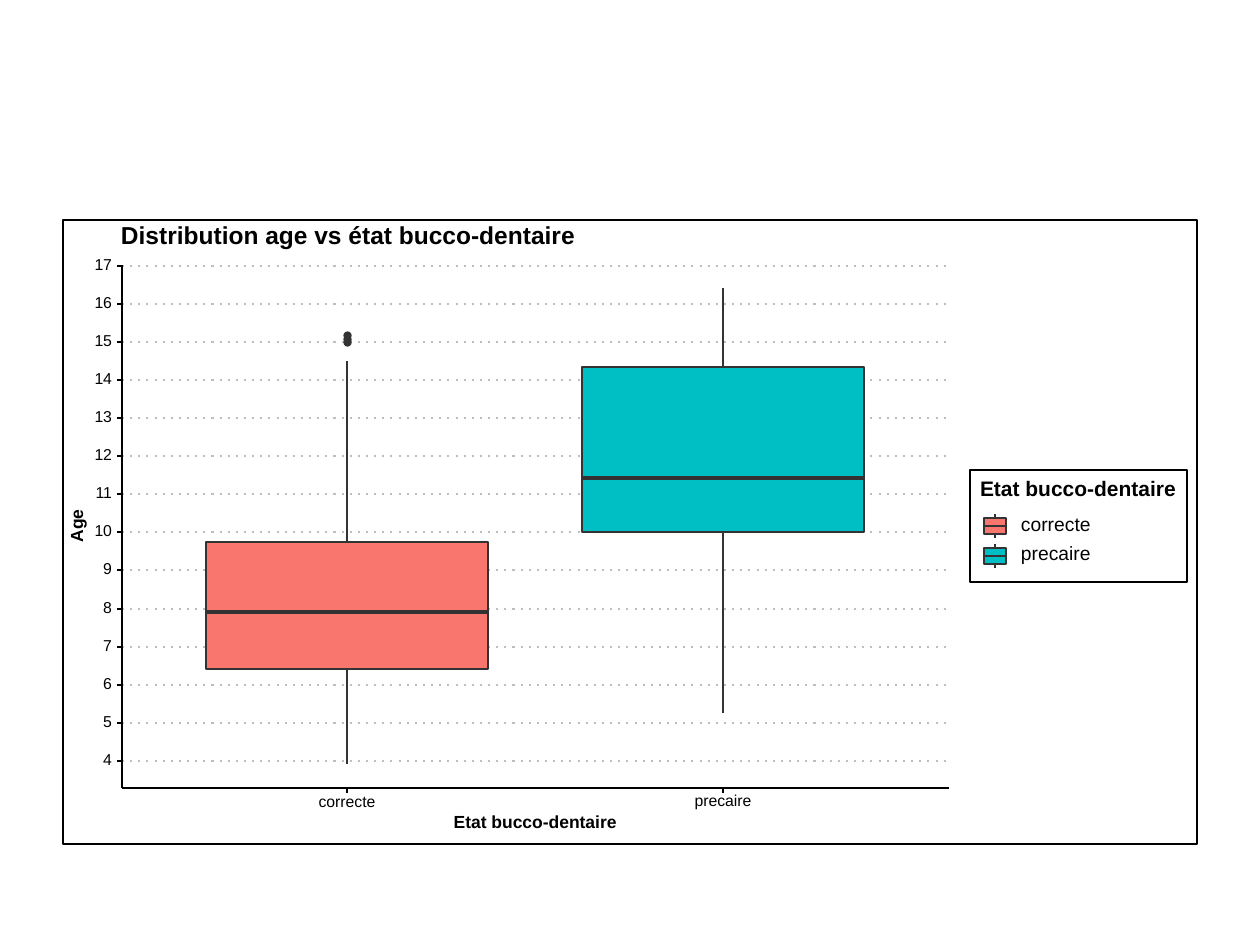
from lxml.etree import SubElement
from pptx import Presentation
from pptx.dml.color import RGBColor
from pptx.enum.dml import MSO_LINE
from pptx.enum.shapes import MSO_CONNECTOR, MSO_SHAPE
from pptx.enum.text import MSO_ANCHOR, PP_ALIGN
from pptx.oxml.ns import qn
from pptx.util import Emu, Inches, Pt

PX = Inches(1) / 126
COLORS = {
    "black": "000000",
    "white": "FFFFFF",
    "grid": "BEBEBE",
    "dark": "333333",
    "correcte": "F8766D",
    "precaire": "00BFC4",
}
TOP, LEFT, BOTTOM, RIGHT = range(4)
THIN, AXIS, MEDIAN, DOT = 1.07, 1.16, 2.13, 0.71

AXIS_LEFT, AXIS_RIGHT, AXIS_TOP, AXIS_BOTTOM = 122, 949, 265, 788
AGES = range(4, 18)
AGE_4_Y, AGE_STEP = 761, 38.1
TICK = 5
BOX_WIDTH, OUTLIER_SIZE = 282, 7

GROUPS = [
    {"name": "correcte", "center": 347, "low": 3.92, "q1": 6.42, "median": 7.92,
     "q3": 9.75, "high": 14.5, "outliers": [15.17, 15.08, 15],
     "label": (312, 797, 70, 11), "legend_label": (1021, 519, 90, 14)},
    {"name": "precaire", "center": 723, "low": 5.25, "q1": 10, "median": 11.42,
     "q3": 14.33, "high": 16.42, "outliers": [],
     "label": (688, 795, 70, 14), "legend_label": (1021, 546, 90, 18)},
]


def px(length):
    return Emu(round(length * PX))


def color(name):
    return RGBColor.from_string(COLORS[name])


def age_y(age):
    return round(AGE_4_Y - (age - AGES[0]) * AGE_STEP)


class Painter:
    font_name = "Arial"

    def __init__(self, slide):
        self.slide = slide

    def shape(self, left, top, width, height, fill, line=None, weight=THIN,
              kind=MSO_SHAPE.RECTANGLE):
        shape = self.slide.shapes.add_shape(
            kind, px(left), px(top), px(width), px(height))
        shape.shadow.inherit = False
        shape.fill.solid()
        shape.fill.fore_color.rgb = color(fill)
        if line:
            shape.line.color.rgb = color(line)
            shape.line.width = Pt(weight)
        else:
            shape.line.fill.background()
        return shape

    def line(self, x1, y1, x2, y2, line="black", weight=AXIS, dotted=False,
             begin=None, end=None):
        connector = self.slide.shapes.add_connector(
            MSO_CONNECTOR.STRAIGHT, px(x1), px(y1), px(x2), px(y2))
        connector.line.color.rgb = color(line)
        connector.line.width = Pt(weight)
        properties = connector._element.spPr
        if dotted:
            connector.line.dash_style = MSO_LINE.ROUND_DOT
            properties.find(".//" + qn("a:prstDash")).set("val", "dot")
        SubElement(properties, qn("a:effectLst"))
        if begin:
            connector.begin_connect(*begin)
        if end:
            connector.end_connect(*end)
        return connector

    def text(self, text, left, top, width, height, size, bold=False,
             align=PP_ALIGN.LEFT, rotation=0):
        box = self.slide.shapes.add_textbox(
            px(left), px(top), px(width), px(height))
        box.rotation = rotation
        frame = box.text_frame
        frame_format = {
            "margin_left": 0, "margin_top": 0, "margin_right": 0,
            "margin_bottom": 0, "word_wrap": True,
            "vertical_anchor": MSO_ANCHOR.MIDDLE,
        }
        for name, value in frame_format.items():
            setattr(frame, name, value)
        paragraph = frame.paragraphs[0]
        paragraph.alignment = align
        paragraph.line_spacing = Pt(size)
        run = paragraph.add_run()
        run.text = text
        font_format = {"name": self.font_name, "size": Pt(size), "bold": bold}
        for name, value in font_format.items():
            setattr(run.font, name, value)
        run.font.color.rgb = color("black")

    def whiskers(self, box, center, high, top, bottom, low):
        self.line(center, top, center, high, "dark", THIN, begin=(box, TOP))
        self.line(center, bottom, center, low, "dark", THIN, begin=(box, BOTTOM))

    def box_plot(self, group):
        center = group["center"]
        left = center - BOX_WIDTH // 2
        high, top, median, bottom, low = (
            age_y(group[key]) for key in ("high", "q3", "median", "q1", "low"))
        for age in group["outliers"]:
            self.shape(center - OUTLIER_SIZE // 2, age_y(age) - OUTLIER_SIZE // 2,
                       OUTLIER_SIZE, OUTLIER_SIZE, "dark", "dark", DOT,
                       MSO_SHAPE.OVAL)
        box = self.shape(left, top, BOX_WIDTH, bottom - top, group["name"], "dark")
        self.whiskers(box, center, high, top, bottom, low)
        self.line(left, median, left + BOX_WIDTH, median, "dark", MEDIAN)

    def legend_key(self, group, left, top):
        self.shape(left, top, 30, 30, "white")
        box = self.shape(left + 4, top + 8, 22, 16, group["name"], "dark")
        self.whiskers(box, left + 15, top + 4, top + 8, top + 24, top + 28)
        self.line(left + 4, top + 16, left + 26, top + 16, "dark", THIN,
                  begin=(box, LEFT), end=(box, RIGHT))
        self.text(group["name"], *group["legend_label"], 11)


def main():
    presentation = Presentation()
    presentation.slide_width = Inches(10)
    presentation.slide_height = Inches(7.5)
    slide = presentation.slides.add_slide(presentation.slide_layouts[6])
    painter = Painter(slide)

    painter.shape(63, 220, 1134, 624, "white", "black", AXIS)
    for age in AGES:
        painter.line(AXIS_LEFT, age_y(age), AXIS_RIGHT, age_y(age), "grid",
                     dotted=True)
    for group in GROUPS:
        painter.box_plot(group)

    painter.line(AXIS_LEFT, AXIS_BOTTOM, AXIS_LEFT, AXIS_TOP, weight=THIN)
    for age in AGES:
        y = age_y(age)
        painter.text(str(age), 88, y - 6, 24, 12, 9, align=PP_ALIGN.RIGHT)
        painter.line(AXIS_LEFT - TICK, y, AXIS_LEFT, y)
    painter.line(AXIS_LEFT, AXIS_BOTTOM, AXIS_RIGHT, AXIS_BOTTOM, weight=THIN)
    for group in GROUPS:
        center = group["center"]
        painter.line(center, AXIS_BOTTOM + TICK, center, AXIS_BOTTOM)
        painter.text(group["name"], *group["label"], 9, align=PP_ALIGN.CENTER)
    painter.text("Etat bucco-dentaire", 445, 817, 180, 13, 10, bold=True,
                 align=PP_ALIGN.CENTER)
    painter.text("Age", 58, 518, 40, 16, 10, bold=True,
                 align=PP_ALIGN.CENTER, rotation=270)

    painter.shape(970, 470, 217, 112, "white", "black", AXIS)
    painter.text("Etat bucco-dentaire", 980, 483, 205, 15, 12, bold=True)
    for index, group in enumerate(GROUPS):
        painter.legend_key(group, 980, 510 + 30 * index)
    painter.text("Distribution age vs état bucco-dentaire",
                 121, 226, 500, 23, 14, bold=True)

    presentation.save("out.pptx")


if __name__ == "__main__":
    main()
